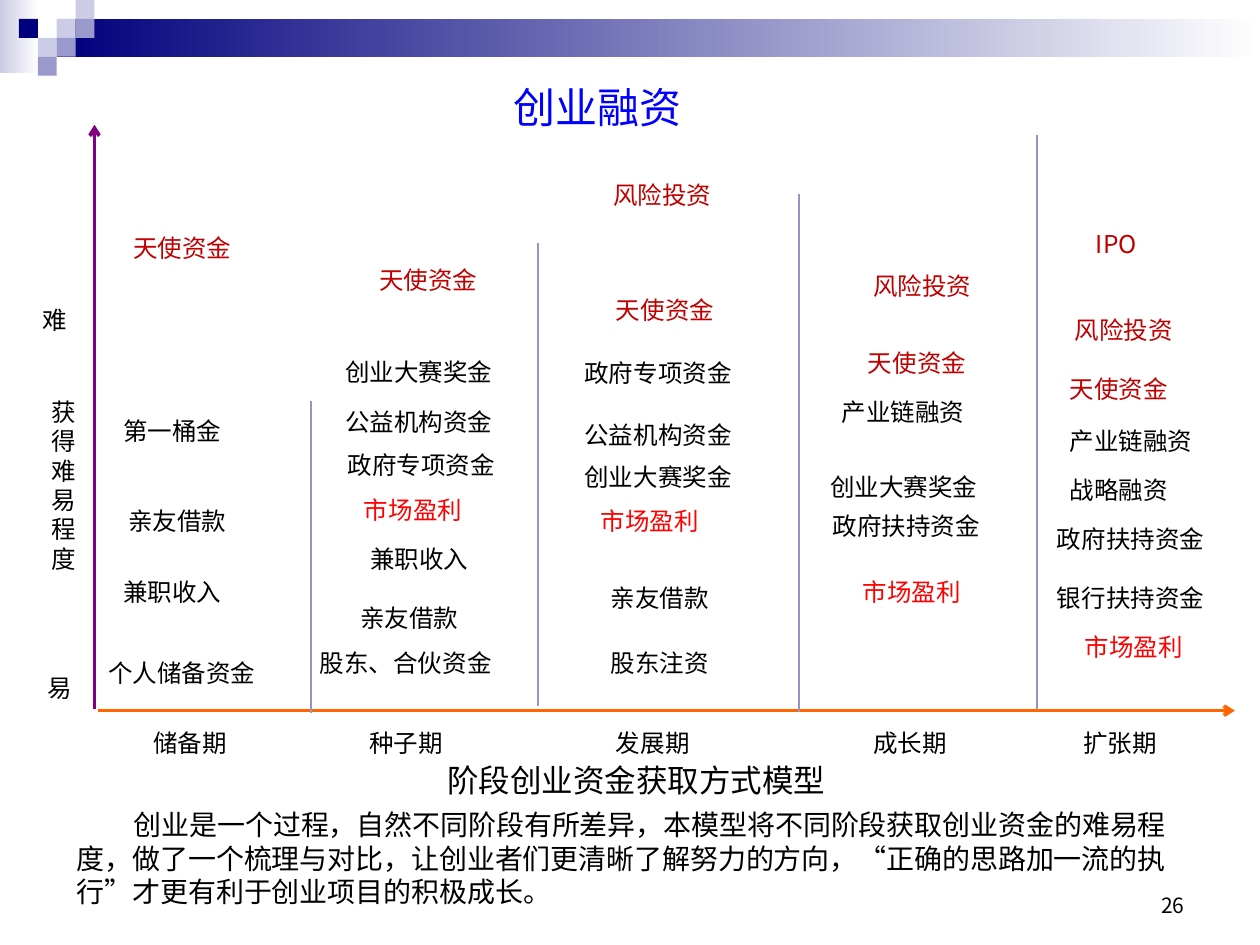
from lxml import etree
from pptx import Presentation
from pptx.dml.color import RGBColor
from pptx.enum.shapes import MSO_CONNECTOR, MSO_SHAPE
from pptx.enum.text import MSO_ANCHOR, MSO_AUTO_SIZE, PP_ALIGN
from pptx.oxml.ns import qn
from pptx.util import Pt

# Content (all lengths in points)
SANS = "Noto Sans CJK SC"
BLACK, DARK_RED, RED, BLUE = "000000", "C00000", "FF0000", "0000FF"
NAVY, LILAC, VIOLET, WHITE = "00007D", "CCCCE6", "9999CC", "FFFFFF"
SOURCE_COLOURS = {"天使资金": DARK_RED, "风险投资": DARK_RED, "IPO": DARK_RED,
                  "市场盈利": RED}

# Stage, left of its label, then funding sources as (text, left, top)
STAGES = [
    ("储备期", 80.6, [
        ("天使资金", 69.1, 129.6), ("第一桶金", 63.4, 234), ("亲友借款", 66.2, 285.8),
        ("兼职收入", 63.4, 326.2), ("个人储备资金", 54.7, 372.2)]),
    ("种子期", 203.8, [
        ("天使资金", 209.5, 147.6), ("创业大赛奖金", 190.1, 200.2),
        ("公益机构资金", 190.1, 229), ("政府专项资金", 191.5, 253.4),
        ("市场盈利", 200.9, 279.4), ("兼职收入", 204.5, 307.4),
        ("亲友借款", 198.7, 341.3), ("股东、合伙资金", 175.7, 366.5)]),
    ("发展期", 344.9, [
        ("风险投资", 343.4, 99.4), ("天使资金", 344.9, 164.9),
        ("政府专项资金", 326.9, 200.9), ("公益机构资金", 326.9, 236.2),
        ("创业大赛奖金", 326.9, 260.6), ("市场盈利", 336.2, 285.8),
        ("亲友借款", 342, 329.8), ("股东注资", 342, 366.5)]),
    ("成长期", 491.8, [
        ("风险投资", 491.8, 151.2), ("天使资金", 488.9, 195.1),
        ("产业链融资", 473.8, 223.2), ("创业大赛奖金", 467.3, 266.4),
        ("政府扶持资金", 468.7, 288.7), ("市场盈利", 486, 326.2)]),
    ("扩张期", 612, [
        ("IPO", 619.2, 127.4), ("风险投资", 607, 176.4), ("天使资金", 604.1, 210.2),
        ("产业链融资", 604.1, 239.8), ("战略融资", 604.1, 267.8),
        ("政府扶持资金", 596.9, 295.9), ("银行扶持资金", 596.9, 329.8),
        ("市场盈利", 612.7, 357.8)]),
]
# Dividers between stages: x, top, bottom
DIVIDERS = [(177.8, 229, 407.5), (307.4, 139, 403.2), (456.5, 110.9, 406.8),
            (592.6, 77, 405.4)]
EXPLANATION = [
    ("创业是一个过程，自然不同阶段有所差异，本模型将不同阶段获取创业资金的难易程度，"
     "做了一个梳理与对比，让创业者们更清晰了解努力的方向，", "Calibri"),
    ("“", SANS), ("正确的思路加一流的执行", "Calibri"), ("”", SANS),
    ("才更有利于创业项目的积极成长。", "Calibri"),
]
# Corner mosaic: column, row, colour
CELL = 10.8
MOSAIC = [(3, 1, LILAC), (4, 0, LILAC), (4, 1, VIOLET), (2, 2, LILAC),
          (1, 1, NAVY), (3, 2, VIOLET), (2, 3, VIOLET)]

deck = Presentation()
deck.slide_width, deck.slide_height = Pt(720), Pt(540)
slide = deck.slides.add_slide(deck.slide_layouts[6])


def colour(value):
    return RGBColor.from_string(value)


def add_block(left, top, width, height, *colours):
    """Rectangle with a solid fill, or a left-to-right gradient of two colours."""
    block = slide.shapes.add_shape(MSO_SHAPE.RECTANGLE, Pt(left), Pt(top),
                                   Pt(width), Pt(height))
    block.shadow.inherit = False
    block.line.fill.background()
    if len(colours) == 1:
        block.fill.solid()
        block.fill.fore_color.rgb = colour(colours[0])
    else:
        block.fill.gradient()
        block.fill.gradient_angle = 0
        for stop, value in zip(block.fill.gradient_stops, colours):
            stop.color.rgb = colour(value)


def add_line(x1, y1, x2, y2, value, weight, arrow=False):
    line = slide.shapes.add_connector(MSO_CONNECTOR.STRAIGHT, Pt(x1), Pt(y1),
                                      Pt(x2), Pt(y2))
    line.line.color.rgb = colour(value)
    line.line.width = Pt(weight)
    if arrow:
        etree.SubElement(line.line._get_or_add_ln(), qn("a:tailEnd"), type="arrow")
    etree.SubElement(line._element.spPr, qn("a:effectLst"))


def add_text(runs, left, top, width=None, height=None, size=14, value=BLACK):
    """Text from (text, font) runs; without a width the box hugs its one line."""
    if isinstance(runs, str):
        runs = [(runs, SANS)]
    length = sum(0.6 if char.isascii() else 1 for char in runs[0][0])
    box = slide.shapes.add_textbox(
        Pt(left), Pt(top), Pt(width or length * size + 15),
        Pt(height or size * 1.23 + 7.2))
    frame = box.text_frame
    frame.word_wrap = width is not None
    if width is None:
        frame.auto_size = MSO_AUTO_SIZE.SHAPE_TO_FIT_TEXT
    paragraph = frame.paragraphs[0]
    paragraph.line_spacing = Pt(round(size * 1.2, 1))
    paragraph.font.size = Pt(size)
    paragraph.font.color.rgb = colour(value)
    for text, font in runs:
        run = paragraph.add_run()
        run.text = text
        run.font.size = Pt(size)
        run.font.color.rgb = colour(value)
        run.font.name = font
        properties = run._r.get_or_add_rPr()
        properties.set("lang", "zh-CN")
        etree.SubElement(properties, qn("a:ea"), typeface=font)
    return frame


# Banner and corner mosaic
add_block(0, 0, 22.3, 41.8, LILAC, WHITE)
add_block(3 * CELL, CELL, 687.6, 2 * CELL, NAVY, WHITE)
for column, row, value in MOSAIC:
    add_block(column * CELL, row * CELL, CELL, CELL, value)

# Axes and stage dividers
add_line(56.2, 406.1, 705.6, 406.1, "FF6600", 2, arrow=True)
for x, top, bottom in DIVIDERS:
    add_line(x, top, x, bottom, "9494C9", 0.75)
add_line(54, 405.4, 54, 71.3, "800080", 2, arrow=True)

# Difficulty axis labels
add_text("难", 17.3, 170.6)
add_text("获得难易程度", 22.3, 223.2, 23, 108)
add_text("易", 20.2, 380.9)

# Stages and their funding sources
for stage, label_left, sources in STAGES:
    add_text(stage, label_left, 412.6)
    for source, left, top in sources:
        add_text(source, left, top, value=SOURCE_COLOURS.get(source, BLACK))

# Title, caption, explanation and page number
add_text("创业融资", 286.6, 43.2, size=24, value=BLUE)
add_text("阶段创业资金获取方式模型", 248.4, 431.3, size=18)
explanation = add_text(EXPLANATION, 36.7, 457.9, 661, 84.2, size=16)
explanation.margin_right = Pt(23)
explanation.paragraphs[0]._p.get_or_add_pPr().set("indent", str(Pt(32.6)))
page = add_text([("26", "Noto Sans CJK JP")], 516.2, 491.8, 167.8, 36, size=12)
page.vertical_anchor = MSO_ANCHOR.BOTTOM
page.paragraphs[0].alignment = PP_ALIGN.RIGHT

deck.save("out.pptx")
